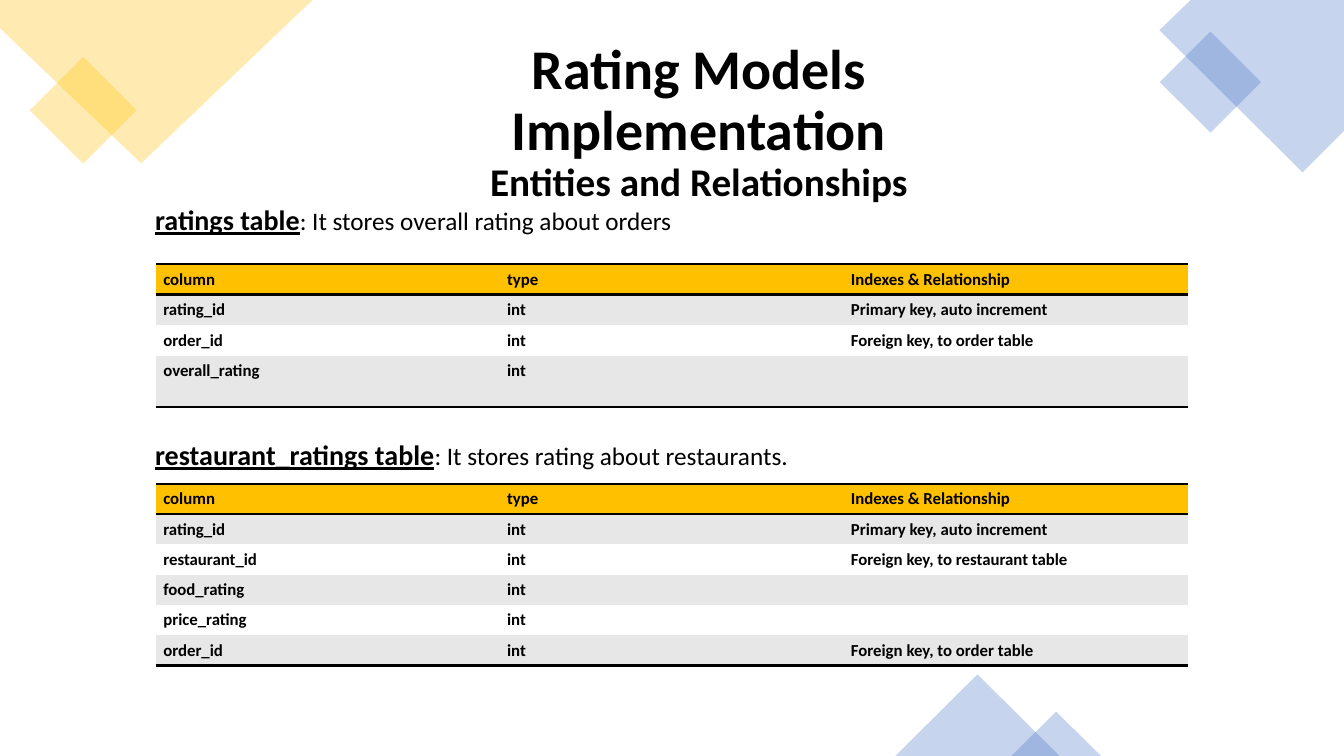
from dataclasses import dataclass

from lxml import etree
from pptx import Presentation
from pptx.dml.color import RGBColor
from pptx.enum.shapes import MSO_SHAPE
from pptx.enum.text import MSO_ANCHOR, PP_ALIGN
from pptx.oxml.ns import qn
from pptx.util import Inches, Pt

RECTANGLE = MSO_SHAPE.RECTANGLE
TRIANGLE = MSO_SHAPE.ISOSCELES_TRIANGLE
TOP = MSO_ANCHOR.TOP
CENTER = PP_ALIGN.CENTER

BLACK = RGBColor(0x00, 0x00, 0x00)
WHITE = RGBColor(0xFF, 0xFF, 0xFF)
GRAY = RGBColor(0xE7, 0xE7, 0xE7)
GOLD = RGBColor(0xFF, 0xC0, 0x00)
BLUE = RGBColor(0x44, 0x72, 0xC4)

FONT = "Calibri"
NO_STYLE = "{2D5ABB26-0587-4C30-8999-92F81FD0307C}"
ROW_HEIGHT = 0.3
COLUMN_WIDTH = 3.41
HEADER = ("column", "type", "Indexes & Relationship")


@dataclass(frozen=True)
class Decoration:
    kind: MSO_SHAPE
    left: float
    top: float
    width: float
    height: float
    color: RGBColor
    rotation: float = 0


@dataclass(frozen=True)
class Outline:
    points: tuple[tuple[float, float], ...]
    color: RGBColor


@dataclass(frozen=True)
class Entity:
    name: str
    description: str
    caption_top: float
    table_top: float
    rows: tuple[tuple[str, str, str], ...]


OUTLINES = (
    Outline(((3.1, 1.62 - 1.62), (1.4, 1.62), (0, 0.28), (0, 0)), GOLD),
    Outline(((11.81, 0), (13.33, 0), (13.33, 1.3), (12.92, 1.71), (11.5, 0.3)), BLUE),
)
DECORATIONS = (
    Decoration(RECTANGLE, 0.45, 0.72, 0.75, 0.75, GOLD, 45),
    Decoration(RECTANGLE, 11.65, 0.46, 0.71, 0.71, BLUE, 45),
    Decoration(TRIANGLE, 8.88, 6.69, 1.63, 0.81, BLUE),
    Decoration(TRIANGLE, 10.03, 7.06, 0.89, 0.44, BLUE),
)
ENTITIES = (
    Entity("ratings table", ": It stores overall rating about orders", 1.96, 2.62, (
        ("rating_id", "int", "Primary key, auto increment"),
        ("order_id", "int", "Foreign key, to order table"),
        ("overall_rating", "int\v", ""),
    )),
    Entity("restaurant_ratings table", ": It stores rating about restaurants.", 4.29, 4.8, (
        ("rating_id", "int", "Primary key, auto increment"),
        ("restaurant_id", "int", "Foreign key, to restaurant table"),
        ("food_rating", "int", ""),
        ("price_rating", "int", ""),
        ("order_id", "int", "Foreign key, to order table"),
    )),
)


def style_decoration(shape, color: RGBColor) -> None:
    shape.shadow.inherit = False
    shape.line.fill.background()
    shape.fill.solid()
    shape.fill.fore_color.rgb = color
    fill_color = shape.fill._xPr.find(qn("a:solidFill"))[0]
    etree.SubElement(fill_color, qn("a:alpha"), val="30000")


def add_decoration(slide, decoration: Decoration) -> None:
    shape = slide.shapes.add_shape(
        decoration.kind, Inches(decoration.left), Inches(decoration.top),
        Inches(decoration.width), Inches(decoration.height))
    shape.rotation = decoration.rotation
    style_decoration(shape, decoration.color)


def add_outline(slide, outline: Outline) -> None:
    start, *others = [(Inches(x), Inches(y)) for x, y in outline.points]
    builder = slide.shapes.build_freeform(*start)
    builder.add_line_segments(others, close=True)
    style_decoration(builder.convert_to_shape(), outline.color)


def style_paragraph(paragraph, size: float, bold: bool) -> None:
    font = paragraph.font
    font.name, font.size, font.bold = FONT, Pt(size), bold
    font.color.rgb = BLACK


def fill_title(slide) -> None:
    title = slide.shapes.title
    title.left, title.top = Inches(3.39), Inches(0.36)
    title.width, title.height = Inches(7.08), Inches(1.5)
    title.text_frame.vertical_anchor = TOP
    title.text_frame.word_wrap = True
    paragraph = title.text_frame.paragraphs[0]
    paragraph.alignment = CENTER
    paragraph.line_spacing = 0.9
    style_paragraph(paragraph, 40, True)
    paragraph.add_run().text = "Rating Models Implementation"
    paragraph.add_line_break()
    subtitle = paragraph.add_run()
    subtitle.text = "Entities and Relationships"
    subtitle.font.size = Pt(28)


def add_caption(slide, entity: Entity) -> None:
    box = slide.shapes.add_textbox(
        Inches(1.44), Inches(entity.caption_top), Inches(6.67), Inches(0.44))
    box.text_frame.word_wrap = True
    paragraph = box.text_frame.paragraphs[0]
    style_paragraph(paragraph, 18, False)
    name = paragraph.add_run()
    name.text = entity.name
    name.font.size, name.font.bold, name.font.underline = Pt(20), True, True
    paragraph.add_run().text = entity.description


def add_borders(cell, sides: tuple[str, ...]) -> None:
    properties = cell._tc.get_or_add_tcPr()
    for position, side in enumerate(sides):
        line = etree.Element(qn(f"a:ln{side}"), w=str(Pt(2)))
        fill = etree.SubElement(line, qn("a:solidFill"))
        etree.SubElement(fill, qn("a:srgbClr"), val=str(BLACK))
        properties.insert(position, line)


def fill_cell(cell, text: str, color: RGBColor) -> None:
    cell.text = text
    cell.margin_left = cell.margin_right = Inches(0.07)
    cell.margin_top = cell.margin_bottom = Inches(0.05)
    cell.fill.solid()
    cell.fill.fore_color.rgb = color
    paragraph = cell.text_frame.paragraphs[0]
    style_paragraph(paragraph, 12, True)
    ending = etree.SubElement(paragraph._p, qn("a:endParaRPr"), sz="1200", b="1")
    etree.SubElement(ending, qn("a:latin"), typeface=FONT)


def add_entity_table(slide, entity: Entity) -> None:
    rows = (HEADER, *entity.rows)
    table = slide.shapes.add_table(
        len(rows), len(HEADER), Inches(1.55), Inches(entity.table_top),
        Inches(COLUMN_WIDTH * len(HEADER)), Inches(ROW_HEIGHT * len(rows))).table
    table.first_row = table.horz_banding = False
    table._tbl.tblPr.find(qn("a:tableStyleId")).text = NO_STYLE
    for column in table.columns:
        column.width = Inches(COLUMN_WIDTH)
    for row_index, row in enumerate(rows):
        lines = 1 + any("\v" in text for text in row)
        table.rows[row_index].height = Inches(0.1 + 0.2 * lines)
        color = GOLD if row_index == 0 else GRAY if row_index % 2 else WHITE
        for column_index, text in enumerate(row):
            cell = table.cell(row_index, column_index)
            fill_cell(cell, text, color)
            if row_index == 0:
                add_borders(cell, ("T", "B"))
            elif row_index == len(rows) - 1:
                add_borders(cell, ("B",))


def main() -> None:
    presentation = Presentation()
    presentation.slide_width, presentation.slide_height = Inches(13.33), Inches(7.5)
    slide = presentation.slides.add_slide(presentation.slide_layouts[5])
    fill_title(slide)
    for outline in OUTLINES:
        add_outline(slide, outline)
    for decoration in DECORATIONS:
        add_decoration(slide, decoration)
    for entity in ENTITIES:
        add_entity_table(slide, entity)
        add_caption(slide, entity)
    presentation.save("out.pptx")


if __name__ == "__main__":
    main()
